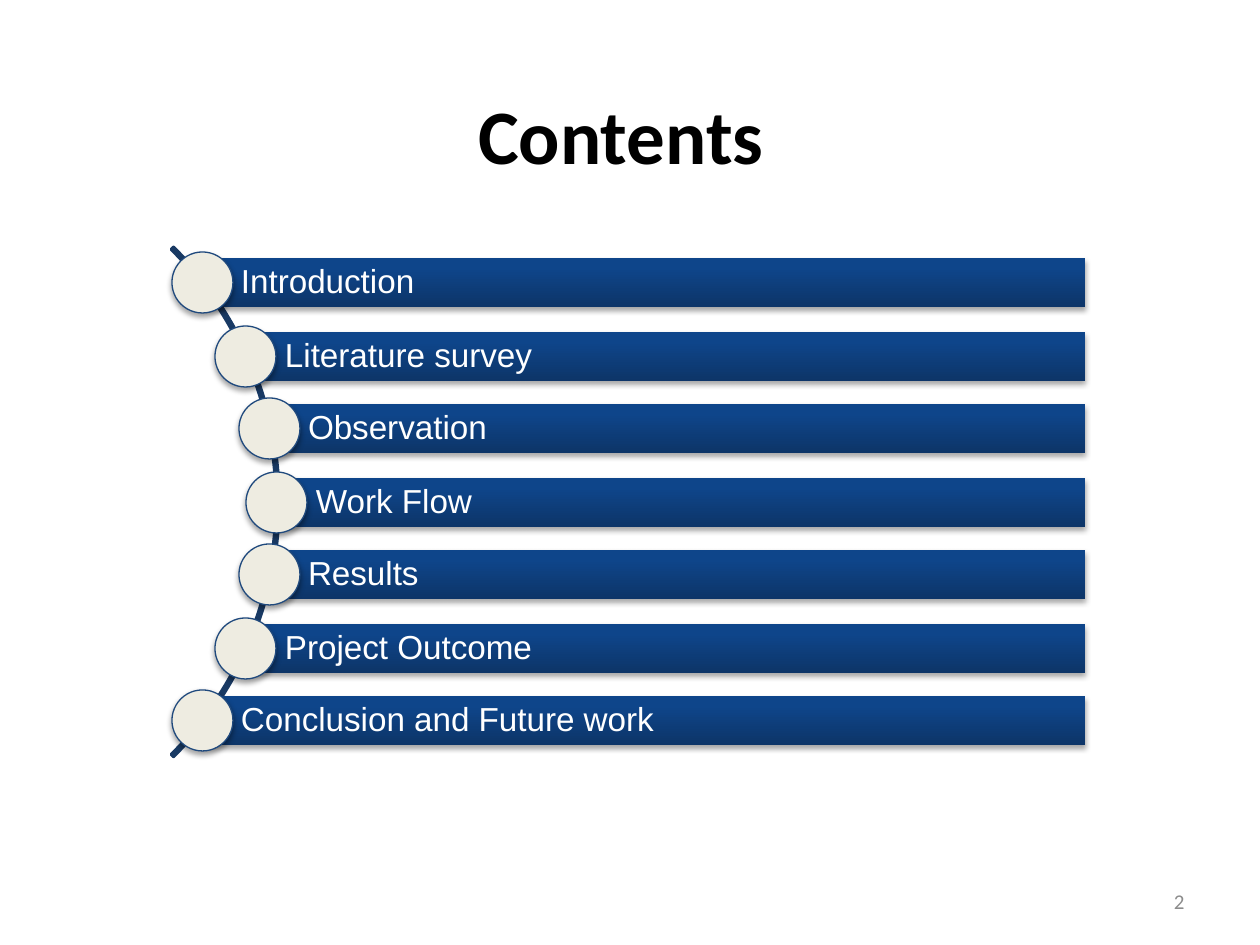
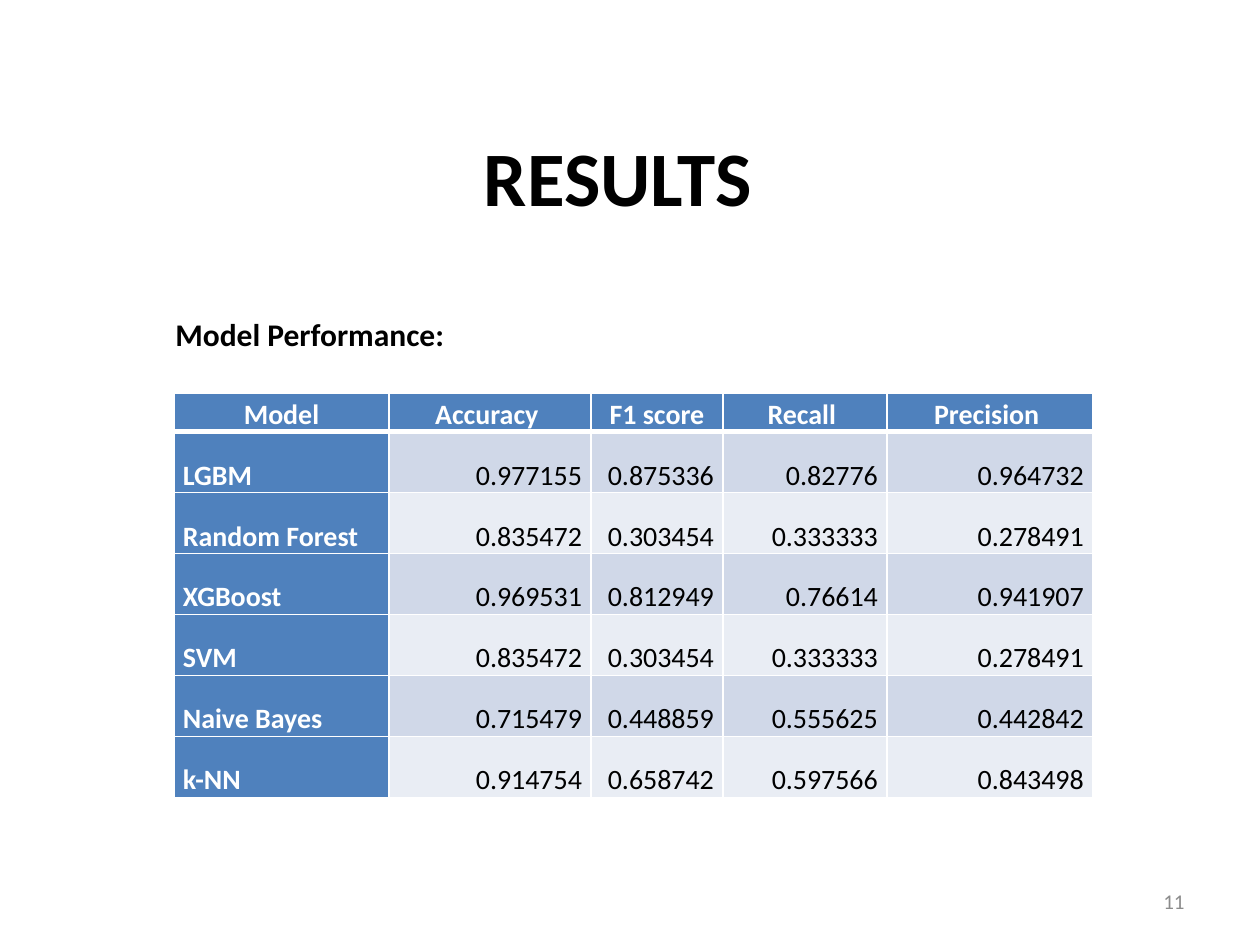
"""Build a contents slide and a model results slide."""
import math

import pptx
import pptx.dml.color
import pptx.enum.shapes
import pptx.enum.text
import pptx.oxml
import pptx.util

RGBColor = pptx.dml.color.RGBColor
Align = pptx.enum.text.PP_ALIGN
Anchor = pptx.enum.text.MSO_ANCHOR
Shape = pptx.enum.shapes.MSO_SHAPE
Pt = pptx.util.Pt

SCALE = 914400 // 126
BLACK = RGBColor(0x00, 0x00, 0x00)
WHITE = RGBColor(0xFF, 0xFF, 0xFF)
GREY = RGBColor(0x8C, 0x8C, 0x8C)
ARC_BLUE = RGBColor(0x19, 0x3A, 0x64)
NODE_LINE = RGBColor(0x1F, 0x49, 0x7D)
NODE_FILL = RGBColor(0xEE, 0xEC, 0xE1)
BAR_DARK = RGBColor(0x0D, 0x35, 0x68)
BAR_LIGHT = RGBColor(0x0E, 0x45, 0x8A)
HEADER_BLUE = RGBColor(0x4F, 0x81, 0xBD)
BAND_COLORS = [RGBColor(0xD0, 0xD8, 0xE8), RGBColor(0xE9, 0xED, 0xF4)]
NAMESPACE = 'xmlns:a="http://schemas.openxmlformats.org/drawingml/2006/main"'
SHADOW = (
    f'<a:outerShdw {NAMESPACE} blurRad="39370" dist="22860" dir="5400000" rotWithShape="0">'
    '<a:srgbClr val="000000"><a:alpha val="35000"/></a:srgbClr></a:outerShdw>'
)


def box(left, top, width, height):
    return [pptx.util.Emu(round(value) * SCALE) for value in (left, top, width, height)]


def write(text_frame, text, size, color, bold=False, align=Align.LEFT, font="Calibri"):
    text_frame.text = text
    paragraph = text_frame.paragraphs[0]
    paragraph.alignment = align
    run_font = paragraph.runs[0].font
    run_font.name = font
    run_font.size = Pt(size)
    run_font.bold = bold
    run_font.color.rgb = color
    return paragraph


presentation = pptx.Presentation()
presentation.slide_width, presentation.slide_height = box(0, 0, 1260, 945)[2:]

slides = []
for title_text, title_left, title_top, number in [
    ("Contents", 54, 55, "2"),
    ("RESULTS", 51, 97, "11"),
]:
    slide = presentation.slides.add_slide(presentation.slide_layouts[5])
    title = slide.shapes.title
    title.left, title.top, title.width, title.height = box(title_left, title_top, 1134, 158)
    title.text_frame.vertical_anchor = Anchor.MIDDLE
    write(title.text_frame, title_text, 44, BLACK, True, Align.CENTER)
    number_box = slide.shapes.add_textbox(*box(903, 876, 294, 50))
    number_box.text_frame.word_wrap = True
    number_box.text_frame.vertical_anchor = Anchor.MIDDLE
    write(number_box.text_frame, number, 12, GREY, align=Align.RIGHT)
    slides.append(slide)
contents_slide, results_slide = slides

topics = [
    "Introduction",
    "Literature survey",
    "Observation",
    "Work Flow",
    "Results",
    "Project Outcome",
    "Conclusion and Future work",
]
center_x, center_y, arc_radius, node_orbit = -81, 502, 360, 358
bar_right, bar_height, node_size, pitch = 1085, 49, 61, 73

arc = contents_slide.shapes.add_shape(
    Shape.BLOCK_ARC,
    *box(center_x - arc_radius, center_y - arc_radius, 2 * arc_radius, 2 * arc_radius),
)
for index, adjustment in enumerate([189, 27, 0.004]):
    arc.adjustments[index] = adjustment
arc.shadow.inherit = False
arc.fill.background()
arc.line.color.rgb = ARC_BLUE
arc.line.width = Pt(2)

for index, topic in enumerate(topics):
    offset = (index - len(topics) // 2) * pitch
    node_x = center_x + math.sqrt(node_orbit**2 - offset**2)
    node_y = center_y + offset
    bar = contents_slide.shapes.add_shape(
        Shape.RECTANGLE,
        *box(node_x, node_y - bar_height / 2, bar_right - node_x, bar_height),
    )
    bar.fill.gradient()
    bar.fill.gradient_angle = 90
    for stop, color, position in zip(bar.fill.gradient_stops, [BAR_DARK, BAR_LIGHT], [0, 0.8]):
        stop.color.rgb = color
        stop.position = position
    bar.line.fill.background()
    text_frame = bar.text_frame
    text_frame.word_wrap = True
    text_frame.vertical_anchor = Anchor.MIDDLE
    text_frame.margin_left = 39 * SCALE
    text_frame.margin_right = text_frame.margin_top = text_frame.margin_bottom = 6 * SCALE
    write(text_frame, topic, 19, WHITE, font="Arial").line_spacing = 0.9

    node = contents_slide.shapes.add_shape(
        Shape.OVAL,
        *box(node_x - node_size / 2, node_y - node_size / 2, node_size, node_size),
    )
    node.fill.solid()
    node.fill.fore_color.rgb = NODE_FILL
    node.line.color.rgb = NODE_LINE
    node.line.width = Pt(0.75)
    for shape in (bar, node):
        shape.shadow.inherit = False
        effects = shape._element.spPr.find(pptx.oxml.ns.qn("a:effectLst"))
        effects.append(pptx.oxml.parse_xml(SHADOW))

rows = [
    ["Model", "Accuracy ", "F1 score", "Recall ", "Precision "],
    ["LGBM", "0.977155", "0.875336", "0.82776", "0.964732"],
    ["Random Forest", "0.835472", "0.303454", "0.333333", "0.278491"],
    ["XGBoost", "0.969531", "0.812949", "0.76614", "0.941907"],
    ["SVM", "0.835472", "0.303454", "0.333333", "0.278491"],
    ["Naive Bayes", "0.715479", "0.448859", "0.555625", "0.442842"],
    ["k-NN", "0.914754", "0.658742", "0.597566", "0.843498"],
]
column_widths = [215, 202, 132, 164, 206]
row_heights = [32] + [61] * 6
table = results_slide.shapes.add_table(
    len(rows), len(column_widths), *box(174, 393, sum(column_widths), sum(row_heights))
).table
for column, width in zip(table.columns, column_widths):
    column.width = width * SCALE
for row, height in zip(table.rows, row_heights):
    row.height = height * SCALE

for row_index, row_values in enumerate(rows):
    for column_index, value in enumerate(row_values):
        cell = table.cell(row_index, column_index)
        is_heading = row_index == 0 or column_index == 0
        if row_index == 0:
            align = Align.CENTER
        else:
            align = Align.LEFT if column_index == 0 else Align.RIGHT
        paragraph = write(
            cell.text_frame, value, 16, WHITE if is_heading else BLACK, is_heading, align
        )
        paragraph.line_spacing = 1.15
        cell.vertical_anchor = Anchor.BOTTOM
        cell.margin_left = cell.margin_right = 9 * SCALE
        cell.margin_top = cell.margin_bottom = 0
        cell.fill.solid()
        cell.fill.fore_color.rgb = HEADER_BLUE if is_heading else BAND_COLORS[(row_index - 1) % 2]
        for position, side in enumerate("LRTB"):
            thick = (row_index, side) in [(0, "B"), (1, "T")]
            border = pptx.oxml.parse_xml(
                f'<a:ln{side} {NAMESPACE} w="{Pt(3 if thick else 1)}"><a:solidFill>'
                f'<a:srgbClr val="{WHITE}"/></a:solidFill></a:ln{side}>'
            )
            cell._tc.get_or_add_tcPr().insert(position, border)

caption = results_slide.shapes.add_textbox(*box(163, 309, 296, 50))
caption.text_frame.word_wrap = False
write(caption.text_frame, "Model Performance:", 18, BLACK, True)

presentation.save("out.pptx")
